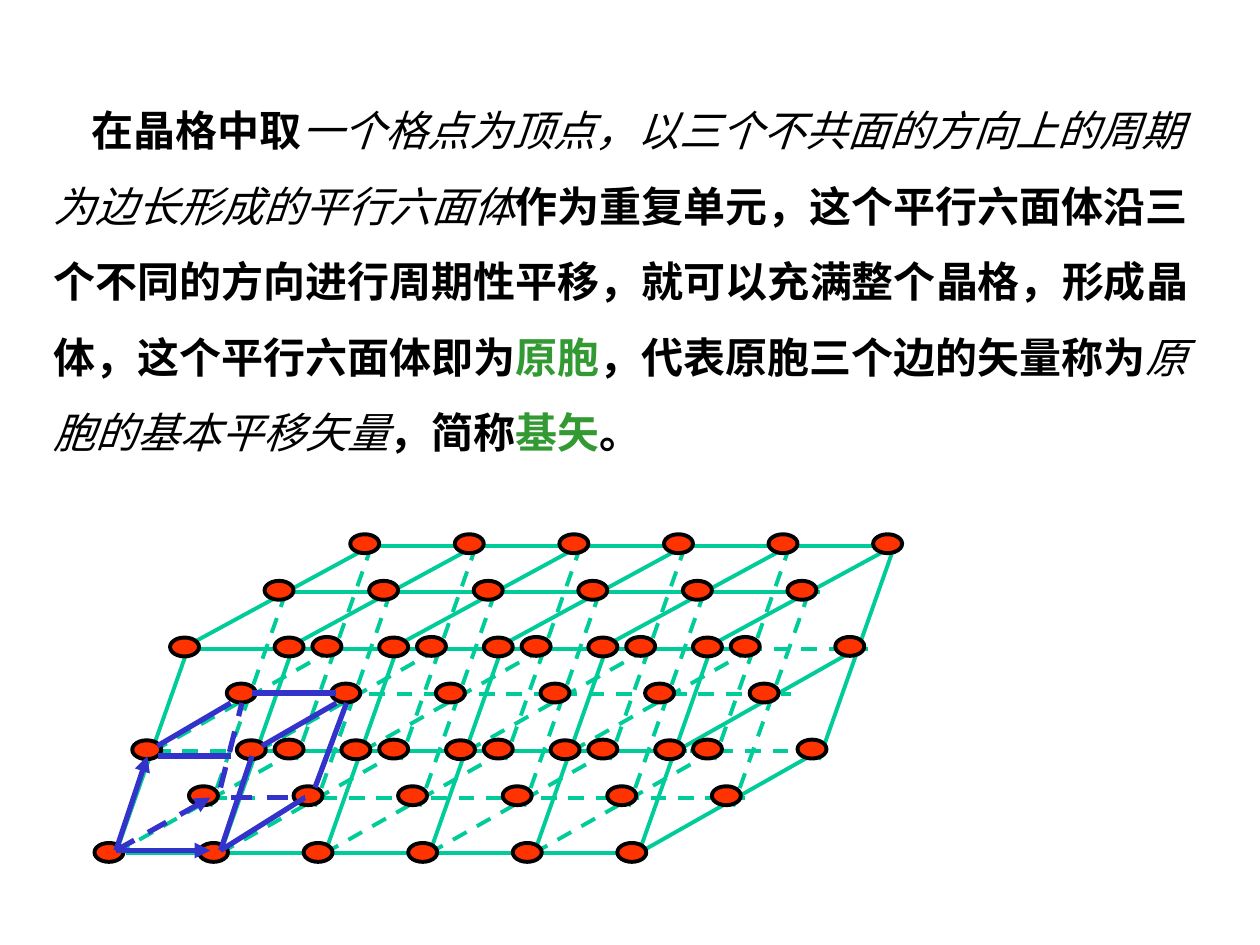
from lxml import etree
from pptx import Presentation
from pptx.dml.color import RGBColor
from pptx.enum import dml, shapes
from pptx.oxml import ns
from pptx.util import Inches, Pt

FONT = "Noto Sans CJK SC"
BLACK = RGBColor(0x00, 0x00, 0x00)
GREEN = RGBColor(0x33, 0x99, 0x33)
TEAL = RGBColor(0x00, 0xCC, 0x99)
BLUE = RGBColor(0x33, 0x33, 0xCC)
RED = RGBColor(0xFF, 0x33, 0x00)

# Text: wording, style
TEXT = [
    ("在晶格中取", "bold"),
    ("一个格点为顶点，以三个不共面的方向上的周期为边长形成的平行六面体", "italic"),
    ("作为重复单元，这个平行六面体沿三个不同的方向进行周期性平移，"
     "就可以充满整个晶格，形成晶体，这个平行六面体即为", "bold"),
    ("原胞", "key"),
    ("，代表原胞三个边的矢量称为", "bold"),
    ("原胞的基本平移矢量", "italic"),
    ("，简称", "bold"),
    ("基矢", "key"),
    ("。", "bold"),
]

# Lattice: columns run right, rows run back, layers run up
COLS, STEP = 6, 0.83
ROWS = [(0.75, 6.69), (1.5, 6.24), (2.18, 5.87)]
RISE = (0.3, -0.815)
LAYERS = 3
DOT = (0.23, 0.15)

# Edges repeated in every column: x1, y1, x2, y2, dashed, dashed in last column
EDGES = [
    (2.95, 4.33, 1.44, 5.15, False, False),
    (2.35, 5.96, 0.92, 6.77, True, False),
    (2.65, 5.15, 1.22, 5.96, True, False),
    (1.52, 5.07, 0.92, 6.77, False, False),
    (2.27, 4.7, 1.67, 6.4, True, True),
    (2.95, 4.33, 2.35, 6.03, True, False),
]

# Level lines: x1, x2, y, dashed
LEVELS = [
    (1.45, 5.68, 5.15, False),
    (2.89, 7.11, 4.33, False),
    (2.28, 6.51, 4.7, False),
    (2.66, 6.89, 5.15, True),
    (2.06, 6.28, 5.51, True),
    (1.23, 5.45, 5.96, True),
    (2.43, 6.51, 5.96, True),
    (1.68, 5.91, 6.33, True),
    (1, 5.08, 6.77, False),
]

# Basis vectors from one corner: x, y, dashed
CORNER = (0.92, 6.75)
BASIS = [(1.67, 6.75, False), (1.67, 6.33, True), (1.17, 6, False)]

# Other edges of the primitive cell: x1, y1, x2, y2, dashed
CELL = [
    (1.25, 5.92, 1.83, 5.58, False),
    (2.08, 5.92, 2.67, 5.58, False),
    (1.75, 6.75, 2.42, 6.33, False),
    (1.25, 6, 1.83, 6, False),
    (1.83, 6.33, 2.42, 6.33, True),
    (2, 5.5, 2.67, 5.5, False),
    (1.75, 6.75, 2, 6, False),
    (2.5, 6.25, 2.75, 5.58, False),
    (1.75, 6.25, 1.92, 5.58, True),
]

deck = Presentation()
deck.slide_width, deck.slide_height = Inches(10), Inches(7.5)
slide = deck.slides.add_slide(deck.slide_layouts[6])


def draw(x1, y1, x2, y2, dashed, color=TEAL, width=2.25, arrow=False):
    link = slide.shapes.add_connector(
        shapes.MSO_CONNECTOR.STRAIGHT,
        Inches(x1), Inches(y1), Inches(x2), Inches(y2))
    link.line.color.rgb = color
    link.line.width = Pt(width)
    if dashed:
        link.line.dash_style = dml.MSO_LINE.DASH
    if arrow:
        tail = etree.SubElement(link.line._get_or_add_ln(), ns.qn("a:tailEnd"))
        tail.set("type", "triangle")
    etree.SubElement(link._element.spPr, ns.qn("a:effectLst"))


def mark(x, y):
    dot = slide.shapes.add_shape(
        shapes.MSO_SHAPE.OVAL,
        Inches(x), Inches(y), Inches(DOT[0]), Inches(DOT[1]))
    dot.shadow.inherit = False
    dot.fill.solid()
    dot.fill.fore_color.rgb = RED
    dot.line.color.rgb = BLACK
    dot.line.width = Pt(2.25)


# Lattice lines
for x1, y1, x2, y2, dashed, last in EDGES:
    for col in range(COLS):
        dx = col * STEP
        draw(x1 + dx, y1, x2 + dx, y2, last if col == COLS - 1 else dashed)
for x1, x2, y, dashed in LEVELS:
    draw(x1, y, x2, y, dashed)

# Lattice points
for layer in range(LAYERS):
    for x, y in ROWS:
        for col in range(COLS):
            mark(x + layer * RISE[0] + col * STEP, y + layer * RISE[1])

# Primitive cell
for x, y, dashed in BASIS:
    draw(*CORNER, x, y, dashed, BLUE, 3, True)
for edge in CELL:
    draw(*edge, BLUE, 3)

# Definition
box = slide.shapes.add_textbox(Inches(0.33), Inches(0.58), Inches(9.42), Inches(3.1))
box.text_frame.word_wrap = True
para = box.text_frame.paragraphs[0]
para.line_spacing = 1.5
para._p.get_or_add_pPr().set("indent", str(Inches(0.3)))
for words, style in TEXT:
    run = para.add_run()
    run.text = words
    font = run.font
    font.name, font.size = FONT, Pt(24)
    font.bold = style != "italic"
    font.italic = style == "italic"
    font.color.rgb = GREEN if style == "key" else BLACK
    east = etree.SubElement(run._r.get_or_add_rPr(), ns.qn("a:ea"))
    east.set("typeface", FONT)

deck.save("out.pptx")
